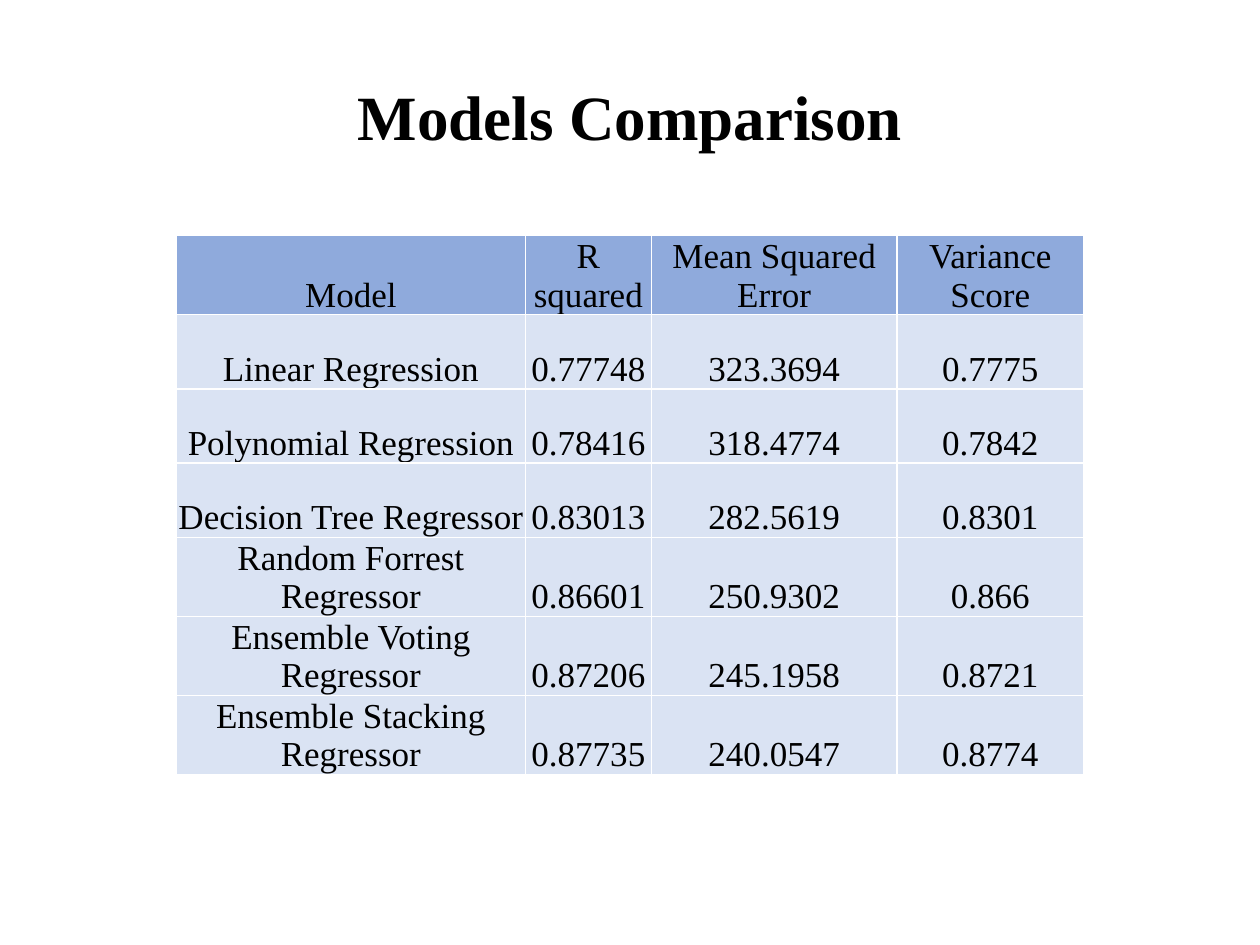
from lxml import etree
from pptx import Presentation
from pptx.dml.color import RGBColor
from pptx.enum.text import MSO_ANCHOR, PP_ALIGN
from pptx.oxml.ns import qn
from pptx.util import Inches, Pt

CENTER = PP_ALIGN.CENTER
TOP = MSO_ANCHOR.TOP
BOTTOM = MSO_ANCHOR.BOTTOM

BLACK = RGBColor(0x00, 0x00, 0x00)
WHITE = RGBColor(0xFF, 0xFF, 0xFF)
HEADER_BLUE = RGBColor(0x8F, 0xAA, 0xDC)
BODY_BLUE = RGBColor(0xDA, 0xE3, 0xF3)

FONT_NAME = "Times New Roman"
TITLE_BOX = (0.69, 0.68, 8.62, 0.97)
TABLE_BOX = (1.4, 1.87, 7.2, 4.13)
COLUMN_WIDTHS = (2.77, 1, 1.95, 1.48)

RESULTS = (
    ("Model", "R squared", "Mean Squared Error", "Variance Score"),
    ("Linear Regression", "0.77748", "323.3694", "0.7775"),
    ("Polynomial Regression", "0.78416", "318.4774", "0.7842"),
    ("Decision Tree Regressor", "0.83013", "282.5619", "0.8301"),
    ("Random Forrest Regressor", "0.86601", "250.9302", "0.866"),
    ("Ensemble Voting Regressor", "0.87206", "245.1958", "0.8721"),
    ("Ensemble Stacking Regressor", "0.87735", "240.0547", "0.8774"),
)


def format_paragraph(paragraph, size, bold=False):
    paragraph.alignment = CENTER
    font = paragraph.font
    font.name = FONT_NAME
    font.size = Pt(size)
    font.bold = bold
    font.color.rgb = BLACK


def add_title(slide, box):
    title = slide.shapes.title
    title.left, title.top, title.width, title.height = map(Inches, box)
    frame = title.text_frame
    frame.text = "Models Comparison"
    frame.vertical_anchor = TOP
    frame.margin_top = 0
    paragraph = frame.paragraphs[0]
    paragraph.line_spacing = 0.9
    format_paragraph(paragraph, 36, bold=True)


def set_borders(cell, color, width):
    properties = cell._tc.get_or_add_tcPr()
    for position, side in enumerate(("lnL", "lnR", "lnT", "lnB")):
        line = etree.Element(qn(f"a:{side}"), w=str(Pt(width)))
        fill = etree.SubElement(line, qn("a:solidFill"))
        etree.SubElement(fill, qn("a:srgbClr"), val=str(color))
        properties.insert(position, line)


def fill_cell(cell, text, color):
    cell.text = text
    cell.vertical_anchor = BOTTOM
    cell.margin_left = cell.margin_right = cell.margin_top = Inches(0.01)
    cell.margin_bottom = 0
    cell.fill.solid()
    cell.fill.fore_color.rgb = color
    set_borders(cell, WHITE, 1)
    format_paragraph(cell.text_frame.paragraphs[0], 20)


def add_results_table(slide, box):
    shape = slide.shapes.add_table(len(RESULTS), len(COLUMN_WIDTHS), *map(Inches, box))
    table = shape.table
    for column, width in zip(table.columns, COLUMN_WIDTHS):
        column.width = Inches(width)
    table.first_row = False
    table.horz_banding = False
    for row_index, values in enumerate(RESULTS):
        color = BODY_BLUE if row_index else HEADER_BLUE
        for column_index, value in enumerate(values):
            fill_cell(table.cell(row_index, column_index), value, color)


def main():
    presentation = Presentation()
    presentation.slide_width = Inches(10)
    presentation.slide_height = Inches(7.5)
    slide = presentation.slides.add_slide(presentation.slide_layouts[5])
    add_title(slide, TITLE_BOX)
    add_results_table(slide, TABLE_BOX)
    presentation.save("out.pptx")


if __name__ == "__main__":
    main()
